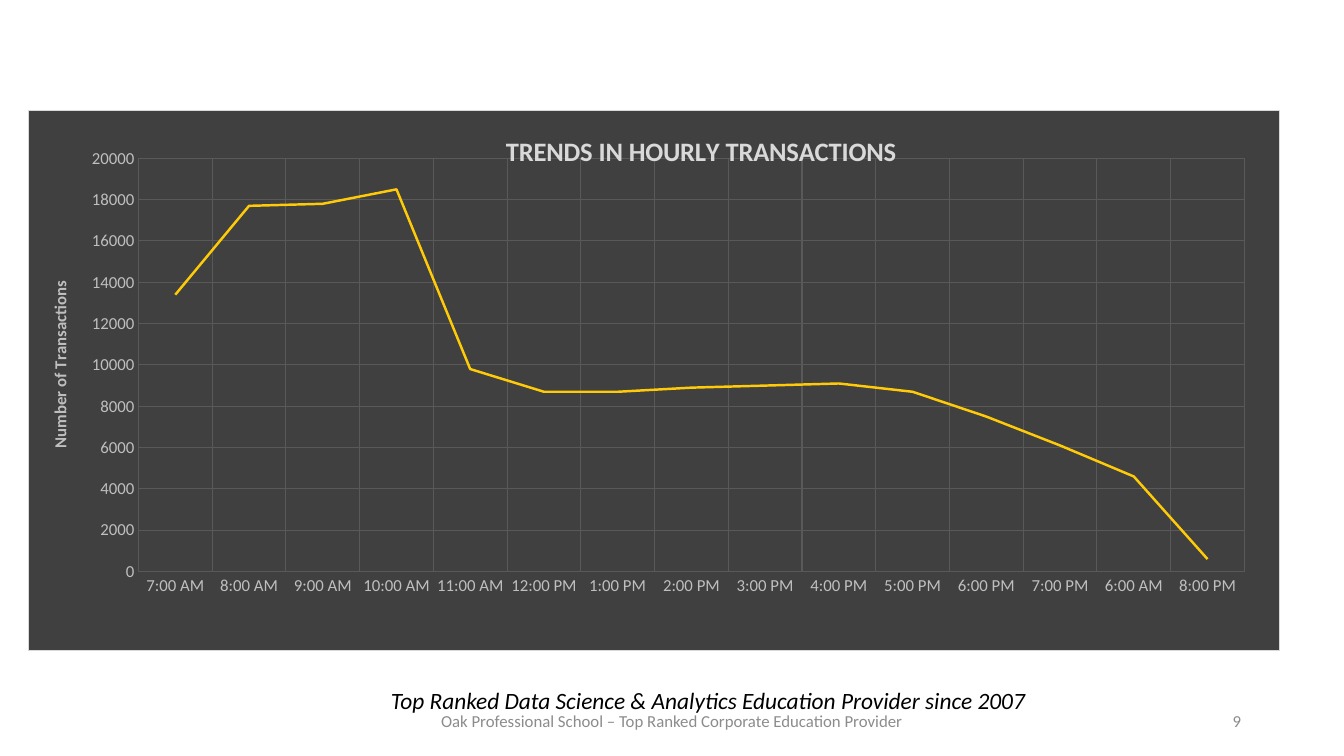
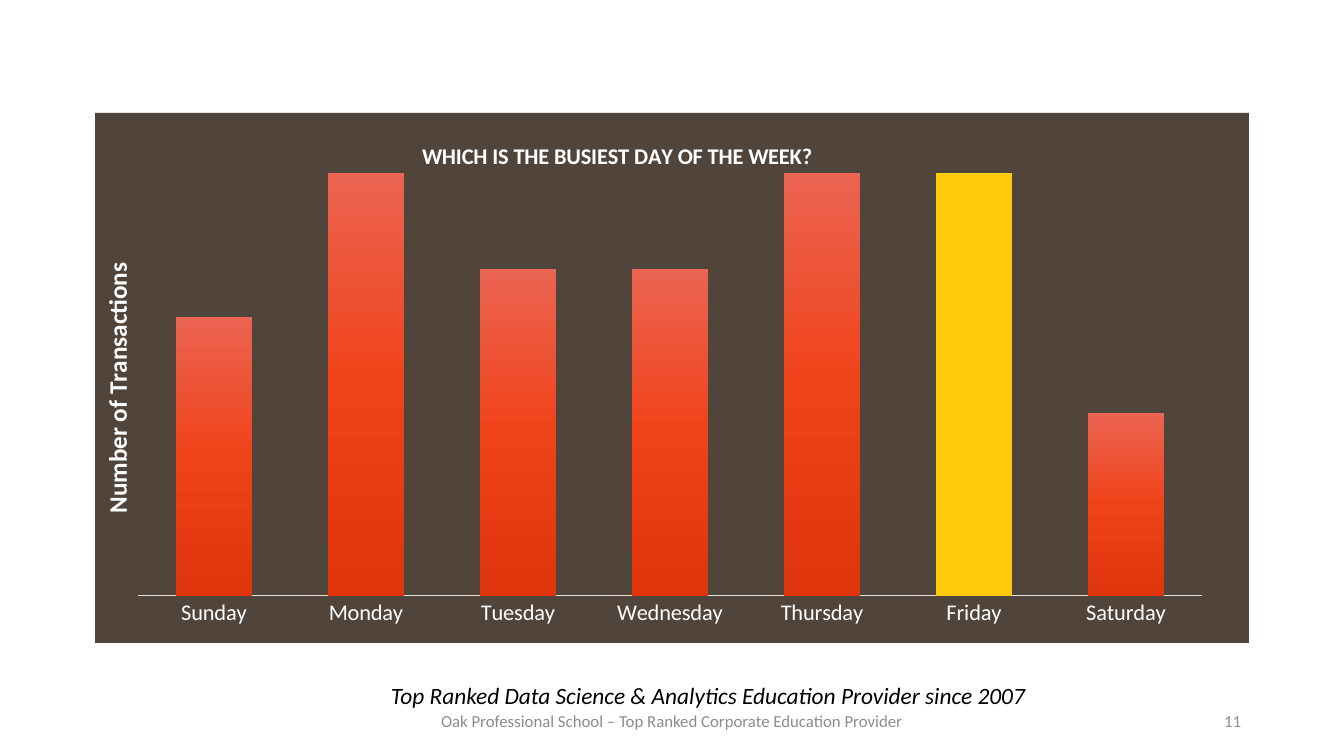
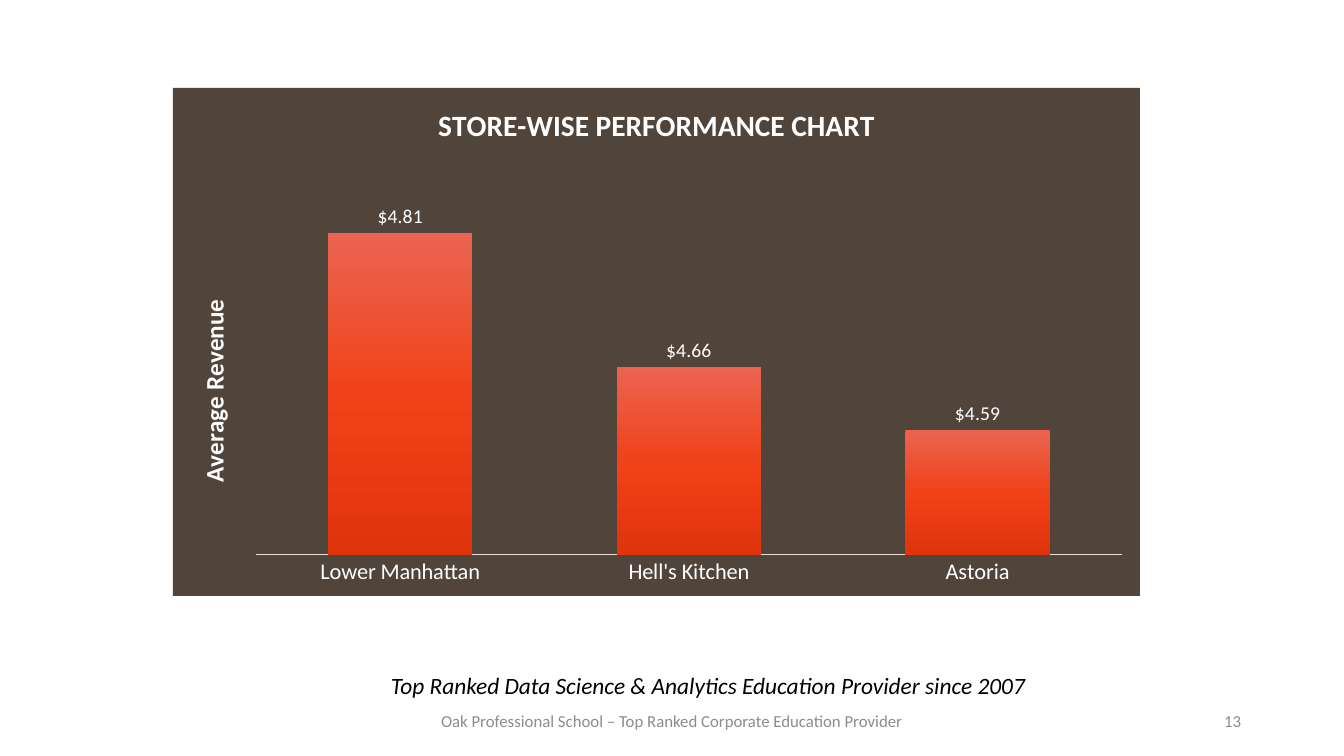
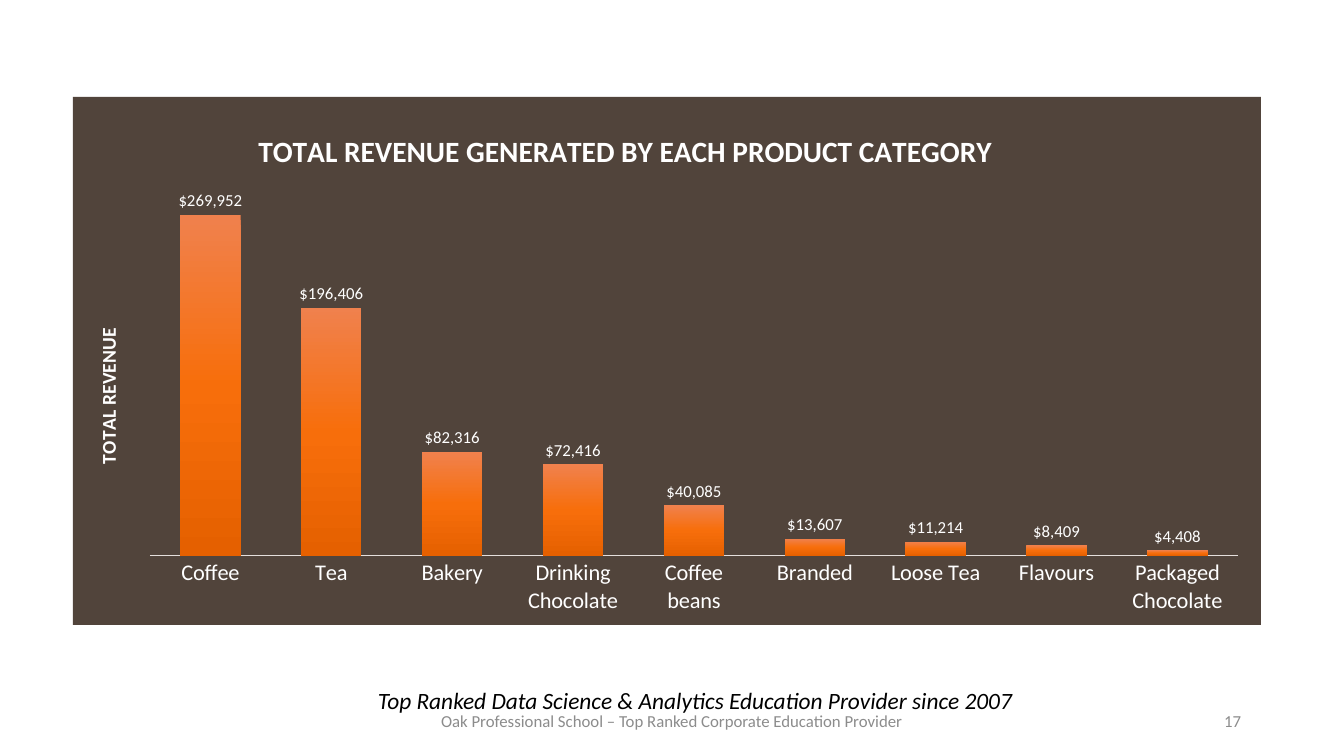
"""Build four chart slides on coffee shop sales with shared tagline, footer and page number."""
import copy

import pptx
import pptx.chart.data
import pptx.dml.color
import pptx.enum.chart
import pptx.enum.text
import pptx.oxml
import pptx.oxml.ns
import pptx.util

RGB = pptx.dml.color.RGBColor
WHITE = RGB(0xFF, 0xFF, 0xFF)
BLACK = RGB(0, 0, 0)
FOOTER_GRAY = RGB(0x8C, 0x8C, 0x8C)
CHARCOAL = RGB(0x40, 0x40, 0x40)
GRID_GRAY = RGB(0x59, 0x59, 0x59)
LABEL_GRAY = RGB(0xBF, 0xBF, 0xBF)
TITLE_GRAY = RGB(0xD9, 0xD9, 0xD9)
BROWN = RGB(0x51, 0x44, 0x3B)
AXIS_LINE = RGB(0xE5, 0xDF, 0xDC)
YELLOW = RGB(0xFF, 0xCA, 0x08)
RED_GRADIENT = [RGB(0xEB, 0x64, 0x51), RGB(0xF0, 0x42, 0x19), RGB(0xE0, 0x34, 0x0C)]
ORANGE_GRADIENT = [RGB(0xF0, 0x81, 0x4D), RGB(0xF7, 0x6E, 0x0B), RGB(0xE5, 0x60, 0x00)]

FONT = "Calibri"
PX = 12192000 / 1344
TAGLINE = "Top Ranked Data Science & Analytics Education Provider since 2007"
FOOTER = "Oak Professional School – Top Ranked Corporate Education Provider"
CHART_TYPE = pptx.enum.chart.XL_CHART_TYPE
ALIGN = pptx.enum.text.PP_ALIGN
ANCHOR = pptx.enum.text.MSO_ANCHOR
Pt = pptx.util.Pt
qn = pptx.oxml.ns.qn


def write(tf, text, size=12, color=BLACK, bold=False, italic=False, align=ALIGN.CENTER):
    p = tf.paragraphs[0]
    p.alignment = align
    r = p.add_run()
    r.text = text
    r.font.name = FONT
    r.font.size = Pt(size)
    r.font.bold = bold
    r.font.italic = italic
    r.font.color.rgb = color


def place(parent, frame, left, top, width=None, height=None):
    layout = parent.find(qn("c:layout"))
    if layout is None:
        layout = parent.makeelement(qn("c:layout"), {})
        parent.insert(0, layout)
    manual = layout.makeelement(qn("c:manualLayout"), {})
    layout.append(manual)
    values = [("xMode", "edge"), ("yMode", "edge"),
              ("x", (left - frame[0]) / frame[2]), ("y", (top - frame[1]) / frame[3])]
    if width:
        values.insert(0, ("layoutTarget", "inner"))
        values += [("w", width / frame[2]), ("h", height / frame[3])]
    for tag, value in values:
        manual.append(manual.makeelement(qn("c:" + tag), {"val": str(value)}))


SLIDES = [
    dict(page="9", tagline=(232, 579), frame=(28, 110, 1252, 541), plot=(138, 158, 1107, 414),
         kind=CHART_TYPE.LINE_STACKED, fill=CHARCOAL, border=TITLE_GRAY,
         title="TRENDS IN HOURLY TRANSACTIONS", title_at=(501, 128), title_size=19,
         title_color=TITLE_GRAY, axis_title="Number of Transactions", axis_title_at=(45, 278),
         axis_size=12, axis_color=LABEL_GRAY, label_size=12, scale=(0, 20000),
         cats=["7:00 AM", "8:00 AM", "9:00 AM", "10:00 AM", "11:00 AM", "12:00 PM", "1:00 PM",
               "2:00 PM", "3:00 PM", "4:00 PM", "5:00 PM", "6:00 PM", "7:00 PM", "6:00 AM",
               "8:00 PM"],
         vals=[13400, 17700, 17800, 18500, 9800, 8700, 8700, 8900, 9000, 9100, 8700, 7500, 6100,
               4600, 600]),
    dict(page="11", tagline=(232, 574), frame=(95, 113, 1154, 530), plot=(138, 149, 1064, 447),
         kind=CHART_TYPE.COLUMN_CLUSTERED, fill=BROWN, gradient=RED_GRADIENT, highlight=5,
         title="WHICH IS THE BUSIEST DAY OF THE WEEK?", title_at=(418, 137), title_size=16,
         title_color=WHITE, axis_title="Number of Transactions", axis_title_at=(95, 258),
         axis_size=18, axis_color=WHITE, label_size=16, scale=(91.2, 100.5),
         cats=["Sunday", "Monday", "Tuesday", "Wednesday", "Thursday", "Friday", "Saturday"],
         vals=[97, 100, 98, 98, 100, 100, 95]),
    dict(page="13", tagline=(232, 564), frame=(173, 88, 967, 508), plot=(256, 197, 866, 358),
         kind=CHART_TYPE.COLUMN_CLUSTERED, fill=BROWN, gradient=RED_GRADIENT,
         title="STORE-WISE PERFORMANCE CHART", title_at=(433, 99), title_size=21,
         title_color=WHITE, axis_title="Average Revenue", axis_title_at=(192, 295),
         axis_size=18, axis_color=WHITE, label_size=16, scale=(4.45, 4.85),
         value_size=14, value_format="[$$-409]#,##0.00",
         cats=["Lower Manhattan", "Hell's Kitchen", "Astoria"], vals=[4.81, 4.66, 4.59]),
    dict(page="17", tagline=(219, 579), frame=(73, 97, 1188, 528), plot=(150, 177, 1088, 379),
         kind=CHART_TYPE.COLUMN_CLUSTERED, fill=BROWN, gradient=ORANGE_GRADIENT,
         title="TOTAL REVENUE GENERATED BY EACH PRODUCT CATEGORY", title_at=(253, 125),
         title_size=21, title_color=WHITE, axis_title="TOTAL REVENUE", axis_title_at=(91, 324),
         axis_size=14, axis_color=WHITE, label_size=16, scale=(0, 300000),
         value_size=12, value_format="[$$-409]#,##0",
         cats=["Coffee", "Tea", "Bakery", "Drinking Chocolate", "Coffee beans", "Branded",
               "Loose Tea", "Flavours", "Packaged Chocolate"],
         vals=[269952, 196406, 82316, 72416, 40085, 13607, 11214, 8409, 4408]),
]

prs = pptx.Presentation()
prs.slide_width = round(1344 * PX)
prs.slide_height = round(756 * PX)

for s in SLIDES:
    slide = prs.slides.add_slide(prs.slide_layouts[6])
    frame = s["frame"]

    texts = [
        ((429, 701, 486, 40), ANCHOR.MIDDLE, FOOTER, dict(color=FOOTER_GRAY)),
        ((*s["tagline"], 952, 141), ANCHOR.BOTTOM, TAGLINE, dict(size=16.7, italic=True)),
        ((949, 701, 302, 40), ANCHOR.MIDDLE, s["page"],
         dict(color=FOOTER_GRAY, align=ALIGN.RIGHT)),
    ]
    for box, anchor, text, style in texts:
        sp = slide.shapes.add_textbox(*[round(v * PX) for v in box])
        tf = sp.text_frame
        tf.word_wrap = True
        tf.vertical_anchor = anchor
        tf.margin_bottom = round(6 * PX)
        write(tf, text, **style)

    data = pptx.chart.data.CategoryChartData()
    data.categories = s["cats"]
    data.add_series("Series 1", s["vals"])
    chart = slide.shapes.add_chart(s["kind"], *[round(v * PX) for v in frame], data).chart
    chart.has_legend = False
    chart.font.name = FONT
    chart.font.size = Pt(10)
    chart.has_title = True
    write(chart.chart_title.text_frame, s["title"], size=s["title_size"],
          color=s["title_color"], bold=True)
    place(chart.element.find(".//" + qn("c:title")), frame, *s["title_at"])
    place(chart.element.find(".//" + qn("c:plotArea")), frame, *s["plot"])

    border = "<a:noFill/>"
    if "border" in s:
        border = f'<a:solidFill><a:srgbClr val="{s["border"]}"/></a:solidFill>'
    background = pptx.oxml.parse_xml(
        f'<c:spPr {pptx.oxml.ns.nsdecls("c", "a")}><a:solidFill><a:srgbClr val="{s["fill"]}"/>'
        f'</a:solidFill><a:ln w="9525">{border}</a:ln></c:spPr>')
    chart.element.find(qn("c:txPr")).addprevious(background)

    cat_axis, val_axis = chart.category_axis, chart.value_axis
    for axis in (cat_axis, val_axis):
        axis.major_tick_mark = pptx.enum.chart.XL_TICK_MARK.NONE
        axis.minor_tick_mark = pptx.enum.chart.XL_TICK_MARK.NONE
        axis.tick_labels.font.name = FONT
        axis.tick_labels.font.size = Pt(s["label_size"])
        axis.tick_labels.font.color.rgb = s["axis_color"]
        axis.format.line.fill.background()
        axis.has_major_gridlines = "gradient" not in s
        if axis.has_major_gridlines:
            axis.major_gridlines.format.line.color.rgb = GRID_GRAY
            axis.major_gridlines.format.line.width = Pt(0.75)
    val_axis.minimum_scale, val_axis.maximum_scale = s["scale"]
    val_axis.has_title = True
    write(val_axis.axis_title.text_frame, s["axis_title"], size=s["axis_size"],
          color=s["axis_color"], bold=True)
    title = chart.element.find(".//" + qn("c:valAx")).find(qn("c:title"))
    body = title.find(".//" + qn("a:bodyPr"))
    body.set("rot", "-5400000")
    body.set("vert", "horz")
    place(title, frame, *s["axis_title_at"])

    plot = chart.plots[0]
    plot.vary_by_categories = False
    ser = plot.series[0]
    if "gradient" not in s:
        val_axis.major_unit = 2000
        ser.smooth = False
        ser.marker.style = pptx.enum.chart.XL_MARKER_STYLE.NONE
        ser.format.line.color.rgb = YELLOW
        ser.format.line.width = Pt(1.75)
        continue

    val_axis.visible = False
    cat_axis.format.line.color.rgb = AXIS_LINE
    cat_axis.format.line.width = Pt(0.75)
    plot.gap_width = 100
    plot.overlap = -24
    fill = ser.format.fill
    fill.gradient()
    fill.gradient_angle = 270
    stops = chart.element.find(".//" + qn("a:gsLst"))
    stops.insert(1, copy.deepcopy(stops[0]))
    for stop, position, color in zip(fill.gradient_stops, (0, 0.5, 1), s["gradient"]):
        stop.position = position
        stop.color.rgb = color
    if "highlight" in s:
        point = ser.points[s["highlight"]]
        point.format.fill.solid()
        point.format.fill.fore_color.rgb = YELLOW
    if "value_format" in s:
        labels = ser.data_labels
        labels.show_value = True
        labels.position = pptx.enum.chart.XL_LABEL_POSITION.OUTSIDE_END
        labels.number_format = s["value_format"]
        labels.number_format_is_linked = False
        labels.font.name = FONT
        labels.font.size = Pt(s["value_size"])
        labels.font.color.rgb = WHITE

prs.save("out.pptx")
